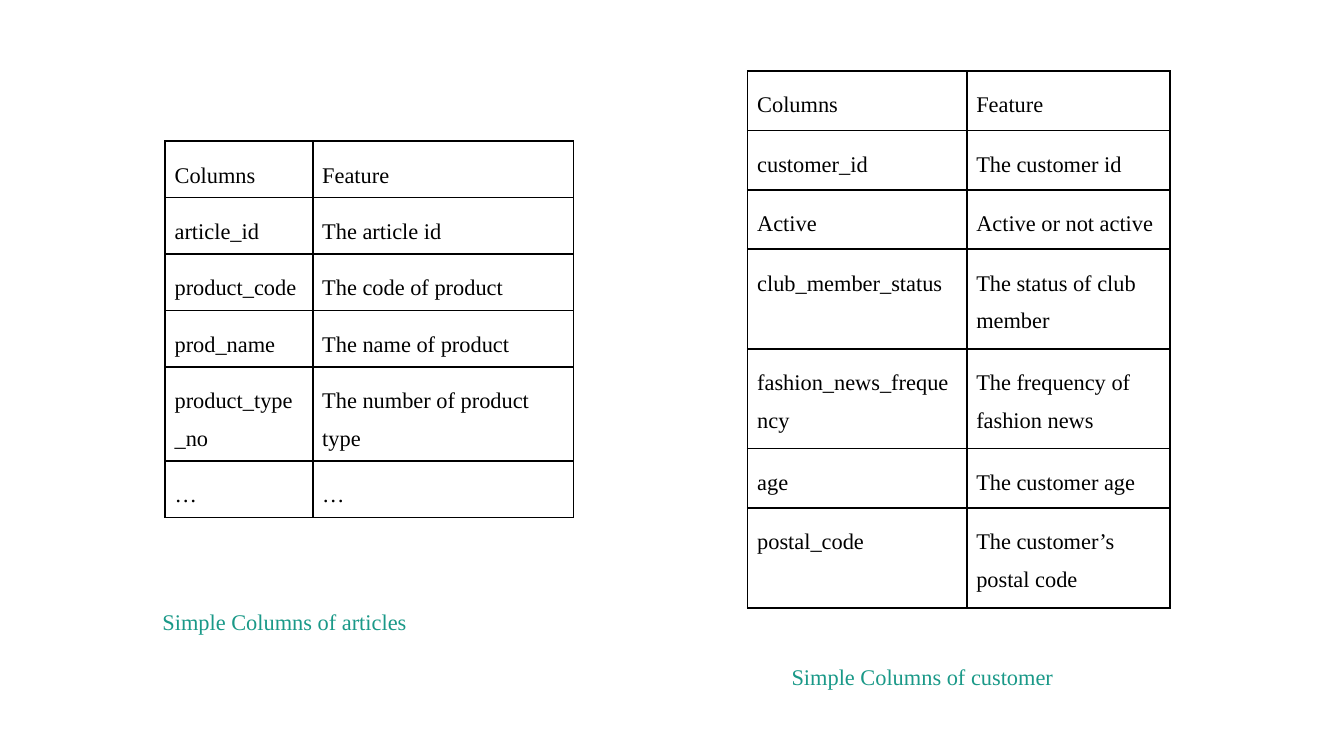
from dataclasses import dataclass

from lxml import etree
from pptx import Presentation
from pptx import util as u
from pptx.dml.color import RGBColor
from pptx.enum import text
from pptx.oxml import ns
from pptx.slide import Slide
from pptx.table import _Cell as Cell
from pptx.text.text import _Paragraph as Paragraph

COLORS = {"ink": "000000", "caption": "1A9988"}
FONT = "Times New Roman"
CELL_INSET = u.Cm(0.18)
CAPTION_INSET = u.Cm(0.25)


@dataclass(frozen=True)
class FeatureTable:
    left: float
    top: float
    column_widths: tuple[float, ...]
    row_heights: tuple[float, ...]
    features: tuple[tuple[str, str], ...]


@dataclass(frozen=True)
class Caption:
    left: float
    top: float
    wording: str


ARTICLES = FeatureTable(
    3.12, 2.67, (2.79, 4.93), (1.06, 1.06, 1.06, 1.06, 1.78, 1.06),
    (
        ("Columns", "Feature"),
        ("article_id", "The article id"),
        ("product_code", "The code of product"),
        ("prod_name", "The name of product"),
        ("product_type_no", "The number of product type"),
        ("…", "…"),
    ),
)
CUSTOMERS = FeatureTable(
    14.13, 1.34, (4.14, 3.84), (1.12, 1.12, 1.12, 1.87, 1.87, 1.12, 1.87),
    (
        ("Columns", "Feature"),
        ("customer_id", "The customer id"),
        ("Active", "Active or not active"),
        ("club_member_status", "The status of club member"),
        ("fashion_news_frequency", "The frequency of fashion news"),
        ("age", "The customer age"),
        ("postal_code", "The customer’s postal code"),
    ),
)
CAPTIONS = (
    Caption(2.82, 11.25, "Simple Columns of articles"),
    Caption(14.71, 12.29, "Simple Columns of customer"),
)


def style_paragraph(paragraph: Paragraph, color: str) -> None:
    paragraph.font.name = FONT
    paragraph.font.size = u.Pt(12)
    paragraph.font.color.rgb = RGBColor.from_string(COLORS[color])


def draw_borders(cell: Cell) -> None:
    properties = cell._tc.get_or_add_tcPr()
    for side in ("a:lnL", "a:lnR", "a:lnT", "a:lnB"):
        line = etree.SubElement(properties, ns.qn(side), w=str(u.Pt(1)))
        fill = etree.SubElement(line, ns.qn("a:solidFill"))
        etree.SubElement(fill, ns.qn("a:srgbClr"), val=COLORS["ink"])


def fill_cell(cell: Cell, wording: str) -> None:
    cell.text = wording
    cell.margin_left = cell.margin_right = CELL_INSET
    cell.margin_top = cell.margin_bottom = CELL_INSET
    paragraph = cell.text_frame.paragraphs[0]
    paragraph.line_spacing = 1.5
    style_paragraph(paragraph, "ink")
    draw_borders(cell)
    cell.fill.background()


def draw_table(slide: Slide, spec: FeatureTable) -> None:
    table = slide.shapes.add_table(
        len(spec.row_heights), len(spec.column_widths),
        u.Cm(spec.left), u.Cm(spec.top),
        u.Cm(sum(spec.column_widths)), u.Cm(sum(spec.row_heights)),
    ).table
    table.first_row = table.horz_banding = False
    for column, width in zip(table.columns, spec.column_widths):
        column.width = u.Cm(width)
    for row, height, wordings in zip(table.rows, spec.row_heights, spec.features):
        row.height = u.Cm(height)
        for cell, wording in zip(row.cells, wordings):
            fill_cell(cell, wording)


def draw_caption(slide: Slide, caption: Caption) -> None:
    frame = slide.shapes.add_textbox(
        u.Cm(caption.left), u.Cm(caption.top), u.Cm(8.33), u.Cm(1.02)
    ).text_frame
    frame.word_wrap = True
    frame.auto_size = text.MSO_AUTO_SIZE.SHAPE_TO_FIT_TEXT
    frame.margin_left = frame.margin_right = CAPTION_INSET
    frame.margin_top = frame.margin_bottom = CAPTION_INSET
    frame.text = caption.wording
    style_paragraph(frame.paragraphs[0], "caption")


def main() -> None:
    presentation = Presentation()
    presentation.slide_width = u.Cm(25.4)
    presentation.slide_height = u.Cm(14.29)
    slide = presentation.slides.add_slide(presentation.slide_layouts[6])
    for feature_table, caption in zip((ARTICLES, CUSTOMERS), CAPTIONS):
        draw_table(slide, feature_table)
        draw_caption(slide, caption)
    presentation.save("out.pptx")


if __name__ == "__main__":
    main()
